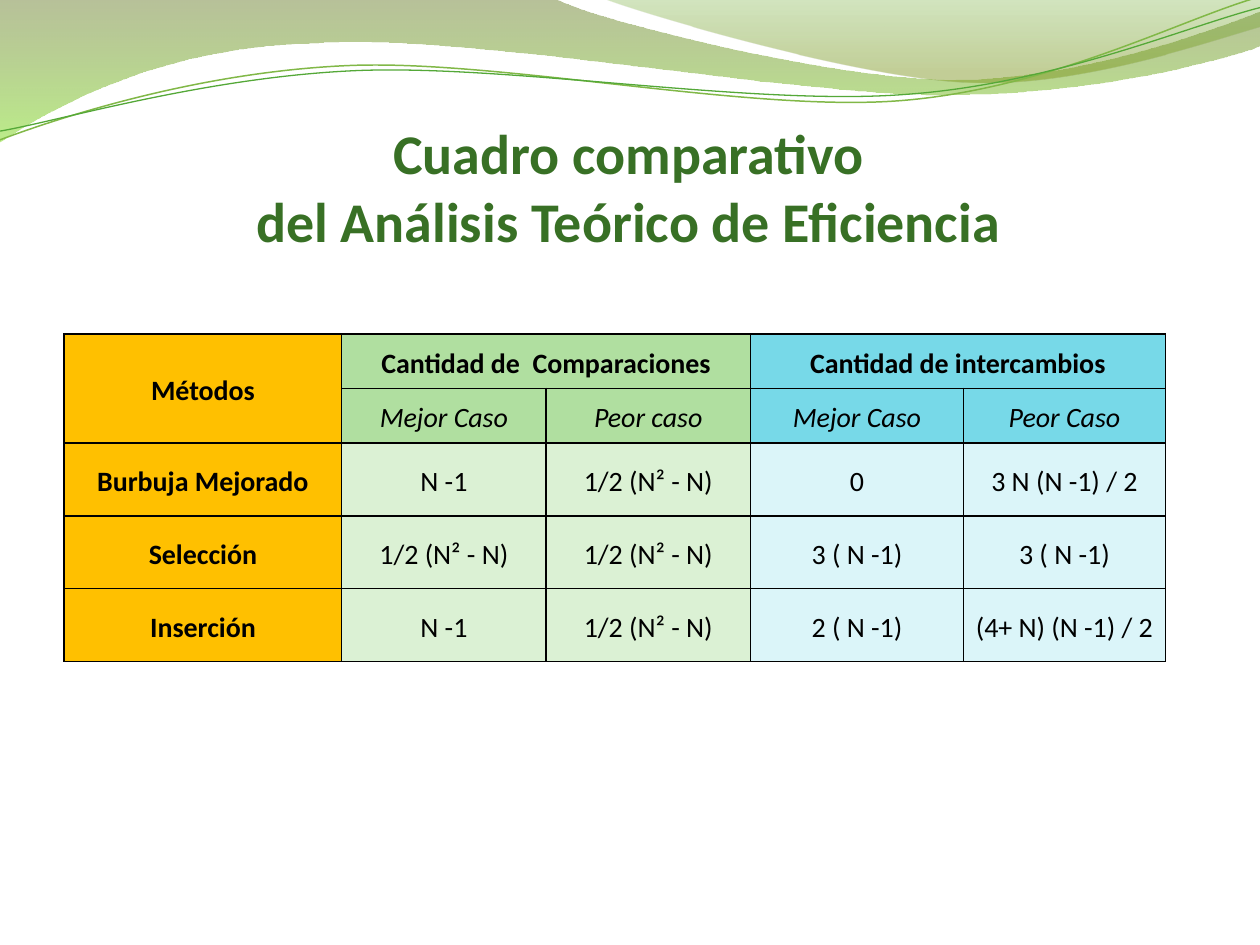
from dataclasses import dataclass
from math import cos, radians, sin

from lxml import etree
from pptx import Presentation, util as u
from pptx.dml.color import RGBColor
from pptx.enum import text
from pptx.oxml.ns import qn

WIDTH, HEIGHT = 10, 7.5
FONT = "Calibri"
BLACK, TITLE_GREEN, GOLD = "000000", "387025", "FFC000"
GREEN, PALE_GREEN = "B0DFA0", "DBF1D4"
BLUE, PALE_BLUE = "77D9E8", "DBF5F9"


@dataclass
class Stop:
    position: float
    color: str
    opacity: int


@dataclass
class Band:
    """A filled wave: a start point, then lines (2 numbers) or curves (6)."""
    start: tuple
    segments: list
    stops: list


@dataclass
class Strand:
    """A thin open wave, turned about its centre."""
    start: tuple
    segments: list
    color: str
    width: float
    center: tuple
    turn: float = -2.7


@dataclass
class CellStyle:
    fill: str
    bold: bool = False
    italic: bool = False


BANDS = [
    Band((0, 0), [(4.4, -0.01), (4.76, 0.17, 6.64, 0.63, 7.58, 0.63),
                  (8.53, 0.63, 9.58, 0.26, 10, 0.09), (10.01, 0.36),
                  (9.83, 0.44, 8.7, 0.76, 7.46, 0.75),
                  (6.22, 0.75, 3.82, 0.28, 2.57, 0.34),
                  (1.29, 0.36, 0.46, 0.83, -0.01, 1.13), (0, 0)],
         [Stop(0, "61761E", 45), Stop(1, "85DD29", 55)]),
    Band((4.79, -0.01), [(5.09, 0.11, 6.82, 0.62, 7.69, 0.65),
                         (8.56, 0.69, 9.61, 0.32, 10, 0.21), (10, 0), (4.79, -0.01)],
         [Stop(0, "6CA82D", 30), Stop(0.8, "79951B", 45)]),
]
STRANDS = [
    Strand((0, 1.11), [(0.48, 0.93, 1.58, 0.57, 2.77, 0.52),
                       (3.95, 0.47, 5.93, 0.89, 7.13, 0.8),
                       (8.33, 0.71, 9.38, 0.15, 9.98, -0.02)],
           "81B847", 0.85, (4.99, 0.57)),
    Strand((0, 1.04), [(0.47, 0.96, 1.64, 0.61, 2.83, 0.56),
                       (4.03, 0.51, 5.97, 0.84, 7.17, 0.75),
                       (8.36, 0.67, 9.41, 0.21, 10, 0.06)],
           "54A838", 0.75, (4.99, 0.59)),
]

TABLE_LEFT, TABLE_TOP, TABLE_WIDTH, TABLE_HEIGHT = 0.51, 2.65, 8.74, 2.6
COLUMN_SHARES = [2.2, 1.62, 1.62, 1.69, 1.6]
ROW_SHARES = [3, 3, 4, 4, 4]
MERGES = [((0, 0), (1, 0)), ((0, 1), (0, 2)), ((0, 3), (0, 4))]
TABLE = [
    ["Métodos", "Cantidad de  Comparaciones", "", "Cantidad de intercambios", ""],
    ["", "Mejor Caso", "Peor caso", "Mejor Caso", "Peor Caso"],
    ["Burbuja Mejorado", "N -1", "1/2 (N² - N)", "0", "3 N (N -1) / 2"],
    ["Selección", "1/2 (N² - N)", "1/2 (N² - N)", "3 ( N -1)", "3 ( N -1)"],
    ["Inserción", "N -1", "1/2 (N² - N)", "2 ( N -1)", "(4+ N) (N -1) / 2"],
]


def rgb(color: str) -> RGBColor:
    return RGBColor.from_string(color)


def rotate(point: tuple, center: tuple, degrees: float) -> tuple:
    a = radians(degrees)
    dx, dy = point[0] - center[0], point[1] - center[1]
    return center[0] + dx * cos(a) - dy * sin(a), center[1] + dx * sin(a) + dy * cos(a)


def freeform(s, start: tuple, segments: list, close: bool, center=(0, 0), degrees=0):
    """Build the outline through all points, then bend each curve's three legs."""
    points = [start] + [seg[i:i + 2] for seg in segments for i in range(0, len(seg), 2)]
    emu = [tuple(u.Inches(v) for v in rotate(pt, center, degrees)) for pt in points]
    builder = s.shapes.build_freeform(*emu[0], scale=1.0)
    builder.add_line_segments(emu[1:], close=close)
    sp = builder.convert_to_shape()
    sp.shadow.inherit = False
    legs = iter(list(sp._element.iter(qn("a:lnTo"))))
    for seg in segments:
        group = [next(legs) for _ in range(len(seg) // 2)]
        if len(group) == 3:
            curve = etree.Element(qn("a:cubicBezTo"))
            group[0].addprevious(curve)
            for leg in group:
                curve.append(leg[0])
                leg.getparent().remove(leg)
    return sp


def draw_band(s, band: Band) -> None:
    sp = freeform(s, band.start, band.segments, True)
    sp.line.fill.background()
    sp.fill.gradient()
    sp.fill.gradient_angle = 270
    for target, stop in zip(sp.fill.gradient_stops, band.stops):
        target.position = stop.position
        target.color.rgb = rgb(stop.color)
    for clr, stop in zip(sp._element.spPr.iter(qn("a:srgbClr")), band.stops):
        etree.SubElement(clr, qn("a:alpha"), val=str(stop.opacity * 1000))


def draw_strand(s, strand: Strand) -> None:
    sp = freeform(s, strand.start, strand.segments, False, strand.center, -strand.turn)
    sp.rotation = strand.turn % 360
    sp.fill.background()
    sp.line.color.rgb = rgb(strand.color)
    sp.line.width = u.Pt(strand.width)


def add_run(p, words: str, size: float, color: str, bold: bool, italic: bool = False) -> None:
    r = p.add_run()
    r.text = words
    r.font.name, r.font.size = FONT, u.Pt(size)
    r.font.bold, r.font.italic = bold, italic
    r.font.color.rgb = rgb(color)


def draw_title(s, lines: list) -> None:
    sp = s.shapes.title
    sp.left, sp.top = u.Inches(0.05 * WIDTH), u.Inches(0.77)
    sp.width, sp.height = u.Inches(9.08), u.Inches(1.24)
    sp._element.getparent().append(sp._element)  # in front of the waves
    tf = sp.text_frame
    tf.word_wrap, tf.auto_size = True, text.MSO_AUTO_SIZE.NONE
    tf.vertical_anchor = text.MSO_ANCHOR.BOTTOM
    tf.margin_left = tf.margin_right = tf.margin_bottom = 0
    tf.margin_top = u.Inches(0.05)
    p = tf.paragraphs[0]
    p.alignment = text.PP_ALIGN.CENTER
    for i, line in enumerate(lines):
        if i:
            p.add_line_break()
        add_run(p, line, 32, TITLE_GREEN, True)


def cell_style(row: int, col: int) -> CellStyle:
    if col == 0:
        return CellStyle(GOLD, bold=True)
    strong, pale = (GREEN, PALE_GREEN) if col < 3 else (BLUE, PALE_BLUE)
    return CellStyle(strong if row < 2 else pale, bold=row == 0, italic=row == 1)


def add_borders(cell, color: str, width: float) -> None:
    tc_pr = cell._tc.get_or_add_tcPr()
    for side in ("lnL", "lnR", "lnT", "lnB"):
        ln = etree.SubElement(tc_pr, qn(f"a:{side}"), w=str(u.Pt(width)))
        fill = etree.SubElement(ln, qn("a:solidFill"))
        etree.SubElement(fill, qn("a:srgbClr"), val=color)


def draw_cell(cell, words: str, style: CellStyle) -> None:
    add_borders(cell, BLACK, 1)
    cell.fill.solid()
    cell.fill.fore_color.rgb = rgb(style.fill)
    cell.vertical_anchor = text.MSO_ANCHOR.MIDDLE
    cell.margin_left = cell.margin_right = u.Inches(0.05)
    cell.margin_top = cell.margin_bottom = 0
    if words:
        p = cell.text_frame.paragraphs[0]
        p.alignment, p.line_spacing = text.PP_ALIGN.CENTER, 1.15
        add_run(p, words, 16, BLACK, style.bold, style.italic)


def draw_table(s) -> None:
    box = (TABLE_LEFT, TABLE_TOP, TABLE_WIDTH, TABLE_HEIGHT)
    table = s.shapes.add_table(len(ROW_SHARES), len(COLUMN_SHARES),
                               *(u.Inches(v) for v in box)).table
    table.first_row = table.horz_banding = False
    for column, share in zip(table.columns, COLUMN_SHARES):
        column.width = u.Inches(TABLE_WIDTH * share / sum(COLUMN_SHARES))
    for row, share in zip(table.rows, ROW_SHARES):
        row.height = u.Inches(TABLE_HEIGHT * share / sum(ROW_SHARES))
    for r, row_words in enumerate(TABLE):
        for c, words in enumerate(row_words):
            draw_cell(table.cell(r, c), words, cell_style(r, c))
    for first, last in MERGES:
        table.cell(*first).merge(table.cell(*last))


def main() -> None:
    prs = Presentation()
    prs.slide_width, prs.slide_height = u.Inches(WIDTH), u.Inches(HEIGHT)
    s = prs.slides.add_slide(prs.slide_layouts[5])  # title only
    # Waves along the top
    for band in BANDS:
        draw_band(s, band)
    for strand in STRANDS:
        draw_strand(s, strand)
    # Title and comparison table
    draw_title(s, ["Cuadro comparativo ", "del Análisis Teórico de Eficiencia "])
    draw_table(s)
    prs.save("out.pptx")


if __name__ == "__main__":
    main()
